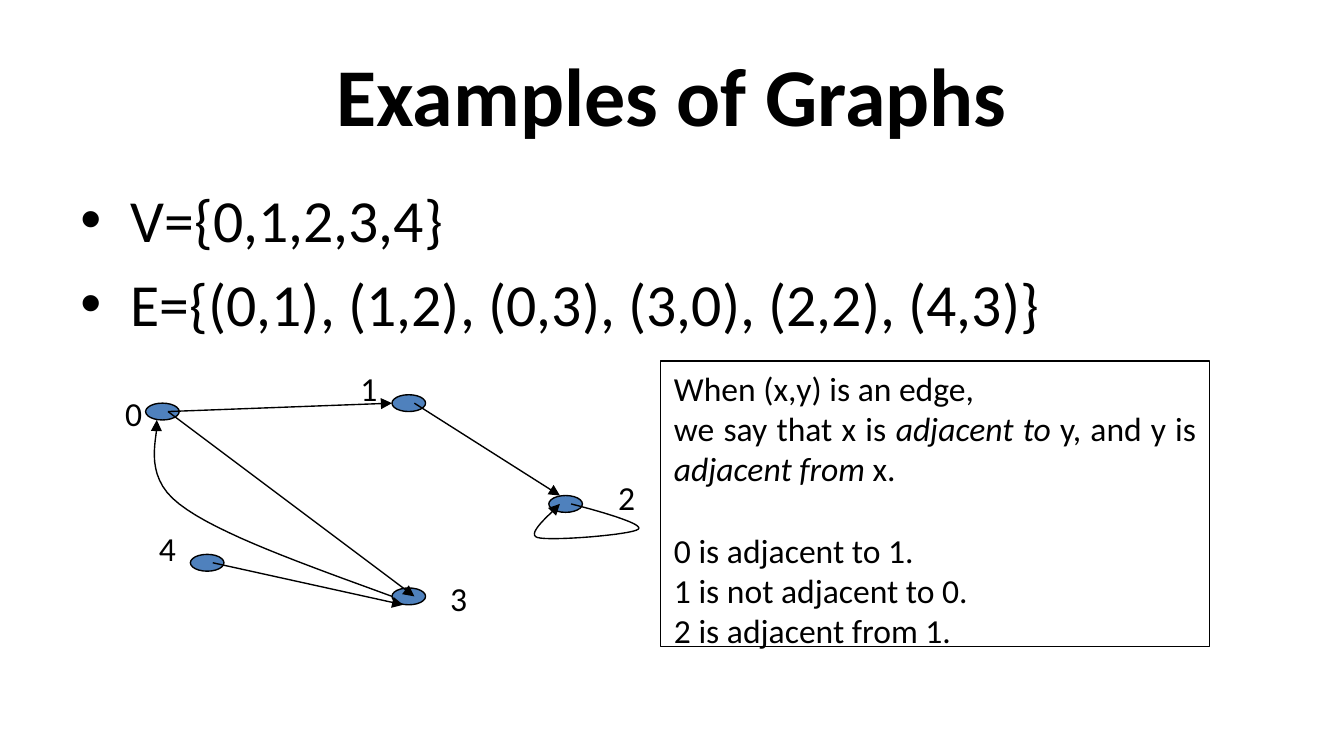
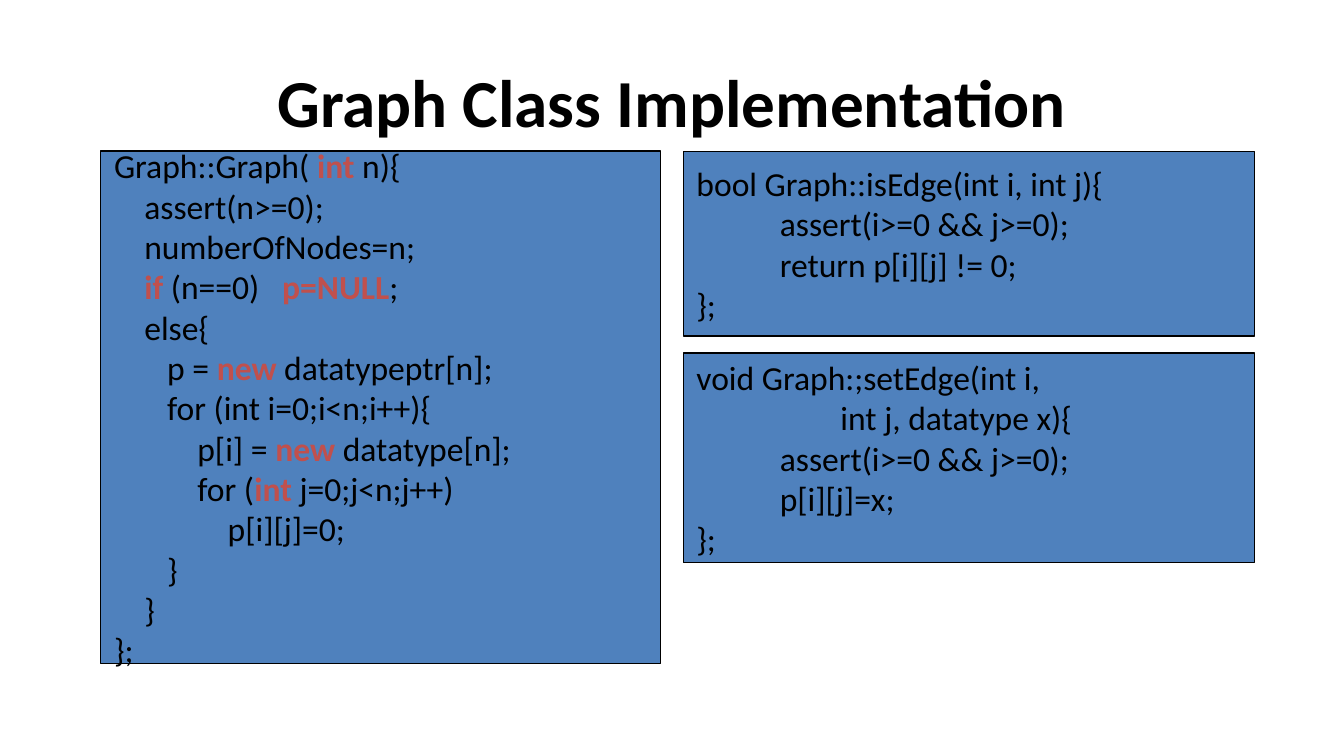
from dataclasses import dataclass

from lxml import etree
from pptx import Presentation
from pptx.dml.color import RGBColor
from pptx.enum.shapes import MSO_CONNECTOR, MSO_SHAPE
from pptx.enum.text import MSO_ANCHOR, MSO_AUTO_SIZE, PP_ALIGN
from pptx.oxml.ns import qn
from pptx.util import Pt

RECTANGLE, OVAL = MSO_SHAPE.RECTANGLE, MSO_SHAPE.OVAL
STRAIGHT = MSO_CONNECTOR.STRAIGHT
TOP, MIDDLE = MSO_ANCHOR.TOP, MSO_ANCHOR.MIDDLE
LEFT, CENTER, JUSTIFY = PP_ALIGN.LEFT, PP_ALIGN.CENTER, PP_ALIGN.JUSTIFY
NO_AUTOFIT = MSO_AUTO_SIZE.NONE

EMU_PER_PX = 6350
TITLE_ONLY = 5
CURVE_STEPS = 16


@dataclass(frozen=True)
class Theme:
    font: str = "Calibri"
    ink: str = "000000"
    fill: str = "4F81BD"
    accent: str = "C0504D"
    title: int = 44
    code_title: int = 36
    bullets: int = 32
    text: int = 18
    stroke: float = 0.75


THEME = Theme()

DEFINITIONS = ["V={0,1,2,3,4}", "E={(0,1), (1,2), (0,3), (3,0), (2,2), (4,3)}"]

ADJACENCY = [
    "When (x,y) is an edge,",
    "we say that x is ~adjacent to~ y, and y is ~adjacent from~ x.",
    "0 is adjacent to 1.",
    "1 is not adjacent to 0.",
    "2 is adjacent from 1.",
]

NODE_SIZE = (36, 18)
LABEL_SIZE = (48, 58)
NODES = {"0": (36, 45), "4": (84, 207), "3": (300, 243), "2": (468, 144), "1": (300, 36)}
LABELS = {"0": (0, 27), "1": (252, 0), "4": (36, 171), "2": (528, 117), "3": (348, 225)}
EDGE_START = (24, 9)
EDGES = [
    ("0", "1", (0, 9)),
    ("1", "2", (12, 0)),
    ("0", "3", (24, 9)),
    ("4", "3", (12, 18)),
]
SELF_LOOP = [
    (492, 153), (531, 163), (570, 175), (564, 180), (558, 186),
    (470, 193), (456, 189), (442, 185), (476, 159), (480, 153),
]
RETURN_EDGE = [
    (300, 252), (207, 218), (113, 185), (72, 153), (30, 121), (51, 78), (48, 63),
]

CONSTRUCTOR = """Graph::Graph( ~int~ n){
    assert(n>=0);
    numberOfNodes=n;
    ~if~ (n==0)   ~p=NULL~;
    else{
       p = ~new~ datatypeptr[n];
       for (int i=0;i<n;i++){
           p[i] = ~new~ datatype[n];
           for (~int~ j=0;j<n;j++)
               p[i][j]=0;
       }
    }
};"""

IS_EDGE = """bool Graph::isEdge(int i, int j){
           assert(i>=0 && j>=0);
           return p[i][j] != 0;
};"""

SET_EDGE = """void Graph:;setEdge(int i,
                   int j, datatype x){
           assert(i>=0 && j>=0);
           p[i][j]=x;
};"""


def px(*lengths):
    return [round(length * EMU_PER_PX) for length in lengths]


def shift(point, offset):
    return point[0] + offset[0], point[1] + offset[1]


def add_bullet(paragraph, indent):
    properties = paragraph._p.get_or_add_pPr()
    properties.set("marL", str(px(indent)[0]))
    properties.set("indent", str(-px(indent)[0]))
    etree.SubElement(properties, qn("a:buFont"), typeface="Arial")
    etree.SubElement(properties, qn("a:buChar"), char="•")


def write_text(frame, lines, *, size=THEME.text, bold=False, align=LEFT, anchor=TOP,
               wrap=True, emphasis=None, bullet_indent=0, gaps=None):
    frame.auto_size = NO_AUTOFIT
    frame.word_wrap = wrap
    frame.vertical_anchor = anchor
    for index, line in enumerate(lines):
        paragraph = frame.add_paragraph() if index else frame.paragraphs[0]
        paragraph.alignment = align
        paragraph.space_before = Pt((gaps or {}).get(index, 0))
        if bullet_indent:
            add_bullet(paragraph, bullet_indent)
        for part, words in enumerate(line.split("~")):
            if not words:
                continue
            run = paragraph.add_run()
            run.text = words
            font = run.font
            font.name, font.size = THEME.font, Pt(size)
            emphasized = part % 2 == 1
            keyword = emphasized and emphasis == "keyword"
            font.bold = bold or keyword
            font.italic = emphasized and emphasis == "italic"
            font.color.rgb = RGBColor.from_string(THEME.accent if keyword else THEME.ink)


def outline(line):
    line.width = Pt(THEME.stroke)
    line.color.rgb = RGBColor.from_string(THEME.ink)


def add_block(slide, kind, box, filled=True):
    block = slide.shapes.add_shape(kind, *px(*box))
    block.shadow.inherit = False
    if filled:
        block.fill.solid()
        block.fill.fore_color.rgb = RGBColor.from_string(THEME.fill)
    else:
        block.fill.background()
    outline(block.line)
    return block


def finish_arrow(arrow):
    outline(arrow.line)
    properties = arrow.element.spPr
    etree.SubElement(properties.find(qn("a:ln")), qn("a:tailEnd"), type="triangle")
    etree.SubElement(properties, qn("a:effectLst"))


def add_edge(slide, start, end):
    finish_arrow(slide.shapes.add_connector(STRAIGHT, *px(*start, *end)))


def bezier_point(controls, t):
    weights = ((1 - t) ** 3, 3 * t * (1 - t) ** 2, 3 * t * t * (1 - t), t ** 3)
    return tuple(sum(w * c[axis] for w, c in zip(weights, controls)) for axis in (0, 1))


def add_curved_edge(slide, controls):
    builder = slide.shapes.build_freeform(*px(*controls[0]))
    points = [
        px(*bezier_point(controls[first:first + 4], step / CURVE_STEPS))
        for first in range(0, len(controls) - 1, 3)
        for step in range(1, CURVE_STEPS + 1)
    ]
    builder.add_line_segments(points, close=False)
    curve = builder.convert_to_shape()
    curve.fill.background()
    finish_arrow(curve)


def add_titled_slide(deck, title, box, size):
    slide = deck.slides.add_slide(deck.slide_layouts[TITLE_ONLY])
    heading = slide.shapes.title
    heading.left, heading.top, heading.width, heading.height = px(*box)
    write_text(heading.text_frame, [title], size=size, bold=True, align=CENTER, anchor=MIDDLE)
    return slide


def add_definitions(slide, box):
    definitions = slide.shapes.add_textbox(*px(*box))
    write_text(definitions.text_frame, DEFINITIONS, size=THEME.bullets,
               bullet_indent=54, gaps={1: 6.4})


def add_graph(slide, origin):
    for corner in NODES.values():
        add_block(slide, OVAL, (*shift(origin, corner), *NODE_SIZE))
    for name, corner in LABELS.items():
        label = slide.shapes.add_textbox(*px(*shift(origin, corner), *LABEL_SIZE))
        write_text(label.text_frame, [name], wrap=False)
    for source, target, landing in EDGES:
        start = shift(NODES[source], EDGE_START)
        end = shift(NODES[target], landing)
        add_edge(slide, shift(origin, start), shift(origin, end))
    for controls in (SELF_LOOP, RETURN_EDGE):
        add_curved_edge(slide, [shift(origin, point) for point in controls])


def add_adjacency_note(slide, box):
    note = add_block(slide, RECTANGLE, box, filled=False)
    write_text(note.text_frame, ADJACENCY, align=JUSTIFY, emphasis="italic", gaps={2: 22})


def add_code(slide, box, code):
    panel = add_block(slide, RECTANGLE, box)
    write_text(panel.text_frame, code.split("\n"), align=JUSTIFY, anchor=MIDDLE,
               wrap=False, emphasis="keyword")


def build_examples(deck):
    slide = add_titled_slide(deck, "Examples of Graphs", (72, 33, 1296, 135), THEME.title)
    add_definitions(slide, (72, 189, 1296, 534))
    add_graph(slide, (120, 387))
    add_adjacency_note(slide, (708, 387, 588, 306))


def build_implementation(deck):
    slide = add_titled_slide(deck, "Graph Class Implementation", (108, 72, 1224, 72),
                             THEME.code_title)
    top, gap = 162, 18
    add_code(slide, (108, top, 600, 549), CONSTRUCTOR)
    for code, height in ((IS_EDGE, 198), (SET_EDGE, 225)):
        add_code(slide, (732, top, 612, height), code)
        top += height + gap


def main():
    deck = Presentation()
    deck.slide_width, deck.slide_height = px(1440, 810)
    build_examples(deck)
    build_implementation(deck)
    deck.save("out.pptx")


if __name__ == "__main__":
    main()
